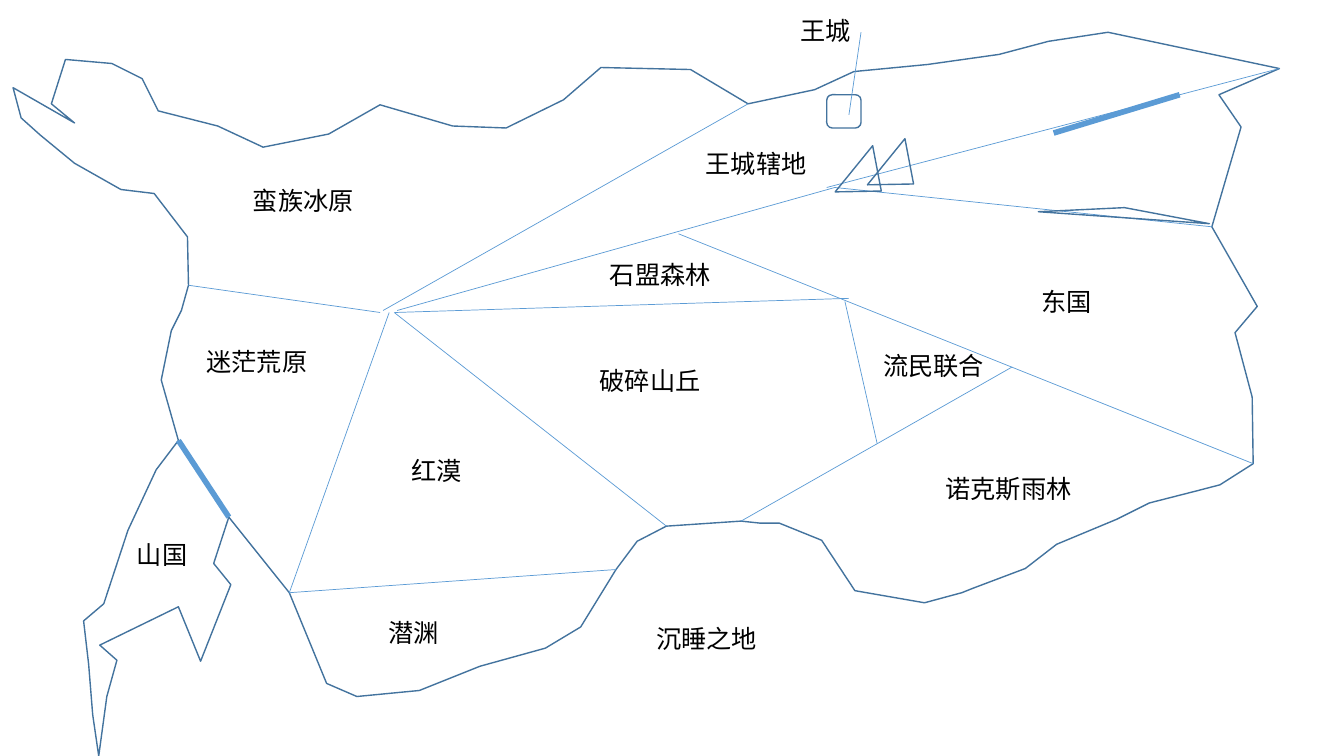
from lxml import etree
from pptx import Presentation
from pptx.dml.color import RGBColor
from pptx.enum.shapes import MSO_CONNECTOR, MSO_SHAPE
from pptx.enum.text import MSO_AUTO_SIZE
from pptx.oxml.ns import qn
from pptx.util import Inches, Pt

STRAIGHT = MSO_CONNECTOR.STRAIGHT
TRIANGLE = MSO_SHAPE.ISOSCELES_TRIANGLE
ROUNDED = MSO_SHAPE.ROUNDED_RECTANGLE
GROW = MSO_AUTO_SIZE.SHAPE_TO_FIT_TEXT
BLANK_LAYOUT = 6

COAST_LINE, BORDER_LINE, LAND, INK = "43739E", "5B9BD5", "FFFFFF", "000000"
FONT, LABEL_SIZE = "Calibri", 18
LABEL_WIDTH, LABEL_HEIGHT = 1.52, 0.4

# Places where borders meet the coast (map units are inches)
WEST_BAY, STRAIT_NORTH, STRAIT_SOUTH = (1.87, 2.83), (1.77, 4.37), (2.27, 5.13)
SOUTHWEST, ABYSS_EAST, DESERT_EAST = (2.87, 5.88), (6.11, 5.65), (6.61, 5.22)
SOUTH_BAY, SOUTHEAST, EAST_BAY = (7.35, 5.17), (12.43, 4.6), (12.02, 2.25)
NORTHEAST_CAPE, NORTH_BAY = (12.69, 0.68), (7.42, 1.03)
MOUNTAIN_PASS = (8.28, 1.86)

COAST = [
    # West coast
    (0.13, 0.87), (0.21, 1.17), (0.4, 1.34), (0.74, 1.62), (1.2, 1.88),
    (1.53, 1.92), (1.86, 2.35), WEST_BAY, (1.8, 3.08), (1.7, 3.28),
    (1.6, 3.77), STRAIT_NORTH,
    # Southwest peninsula
    (1.55, 4.66), (1.27, 5.26), (1.03, 5.99), (0.83, 6.16), (0.88, 6.59),
    (0.92, 7.09), (0.98, 7.5), (1.06, 6.91), (1.16, 6.55), (0.99, 6.4),
    (1.77, 6.02), (1.99, 6.56), (2.29, 5.8), (2.12, 5.59), STRAIT_SOUTH,
    # South coast
    SOUTHWEST, (3.24, 6.78), (3.54, 6.91), (4.16, 6.85), (4.76, 6.61),
    (5.41, 6.43), (5.76, 6.22), ABYSS_EAST, (6.32, 5.37), DESERT_EAST,
    SOUTH_BAY, (7.54, 5.19), (7.73, 5.19), (8.15, 5.36), (8.48, 5.86),
    (9.17, 5.98), (9.54, 5.88), (9.64, 5.84), (10.17, 5.64), (10.48, 5.4),
    (11.08, 5.15), (11.4, 4.99), (11.87, 4.87), (12.1, 4.81), SOUTHEAST,
    # East coast
    (12.42, 3.94), (12.25, 3.3), (12.47, 3.04), EAST_BAY, (12.31, 1.26),
    (12.09, 0.94), NORTHEAST_CAPE,
    # North coast
    (10.99, 0.32), (10.4, 0.41), (9.91, 0.54), (9.2, 0.64), (8.47, 0.71),
    (8.08, 0.89), NORTH_BAY, (6.85, 0.69), (5.96, 0.67), (5.59, 0.99),
    (5.02, 1.27), (4.49, 1.25), (3.77, 1.04), (3.26, 1.33), (2.61, 1.46),
    (2.16, 1.25), (1.57, 1.1), (1.41, 0.78), (1.11, 0.63), (0.65, 0.59),
    (0.51, 1.03), (0.74, 1.22),
]

BORDERS = [
    (STRAIT_NORTH, STRAIT_SOUTH),
    (WEST_BAY, (3.77, 3.1)),
    ((3.8, 3.08), NORTH_BAY),
    ((3.86, 3.1), SOUTHWEST),
    ((3.91, 3.1), DESERT_EAST),
    (SOUTHWEST, ABYSS_EAST),
    ((3.94, 3.08), MOUNTAIN_PASS),
    ((8.2, 1.86), NORTHEAST_CAPE),
    (MOUNTAIN_PASS, EAST_BAY),
    (SOUTHEAST, (6.73, 2.32)),
    (SOUTH_BAY, (10.04, 3.64)),
    ((3.92, 3.1), (8.42, 2.96)),
    ((8.38, 2.99), (8.7, 4.4)),
]
CAPITAL_POINTER = ((8.54, 0.32), (8.42, 1.14))
WALLS = [(STRAIT_NORTH, STRAIT_SOUTH), ((10.45, 1.32), (11.7, 0.94))]

# Preset, left, top, width, height, rotation
LANDMARKS = [
    (TRIANGLE, 10.3, 2.06, 1.7, 0.1, 4),
    (TRIANGLE, 8.31, 1.61, 0.59, 0.35, 129.1),
    (TRIANGLE, 8.63, 1.54, 0.59, 0.35, 129.1),
    (ROUNDED, 8.2, 0.94, 0.34, 0.33, 0),
]

LABELS = [
    ("蛮族冰原", 2.41, 1.79), ("王城辖地", 6.9, 1.42), ("王城", 7.84, 0.1),
    ("迷茫荒原", 1.95, 3.39), ("山国", 1.26, 5.3), ("潜渊", 3.75, 6.08),
    ("红漠", 3.98, 4.47), ("石盟森林", 5.95, 2.52), ("诺克斯雨林", 9.28, 4.65),
    ("破碎山丘", 5.85, 3.58), ("流民联合", 8.66, 3.43), ("东国", 10.23, 2.79),
    ("沉睡之地", 6.41, 6.13),
]


def colour(value):
    return RGBColor.from_string(value)


def inches(values):
    return [Inches(value) for value in values]


def style_line(shape, value, width):
    shape.line.color.rgb = colour(value)
    shape.line.width = Pt(width)


def draw_coast(slide):
    points = [inches(point) for point in COAST]
    builder = slide.shapes.build_freeform(*points[0], scale=1.0)
    builder.add_line_segments(points[1:], close=True)
    land = builder.convert_to_shape()
    land.shadow.inherit = False
    land.fill.solid()
    land.fill.fore_color.rgb = colour(LAND)
    style_line(land, COAST_LINE, 1)


def draw_line(slide, start, end, width):
    line = slide.shapes.add_connector(STRAIGHT, *inches(start + end))
    style_line(line, BORDER_LINE, width)
    etree.SubElement(line._element.spPr, qn("a:effectLst"))


def draw_landmark(slide, preset, left, top, width, height, rotation):
    mark = slide.shapes.add_shape(preset, *inches((left, top, width, height)))
    mark.rotation = rotation
    mark.shadow.inherit = False
    mark.fill.background()
    style_line(mark, COAST_LINE, 1)


def draw_label(slide, text, left, top):
    box = slide.shapes.add_textbox(*inches((left, top, LABEL_WIDTH, LABEL_HEIGHT)))
    frame = box.text_frame
    frame.word_wrap = True
    frame.auto_size = GROW
    span = frame.paragraphs[0].add_run()
    span.text = text
    span.font.name = FONT
    span.font.size = Pt(LABEL_SIZE)
    span.font.color.rgb = colour(INK)


def main():
    deck = Presentation()
    deck.slide_width, deck.slide_height = inches((13.33, 7.5))
    slide = deck.slides.add_slide(deck.slide_layouts[BLANK_LAYOUT])

    draw_coast(slide)
    for start, end in BORDERS:
        draw_line(slide, start, end, 0.5)
    for landmark in LANDMARKS:
        draw_landmark(slide, *landmark)
    draw_line(slide, *CAPITAL_POINTER, 0.5)
    for label in LABELS:
        draw_label(slide, *label)
    for start, end in WALLS:
        draw_line(slide, start, end, 4)

    deck.save("out.pptx")


if __name__ == "__main__":
    main()
